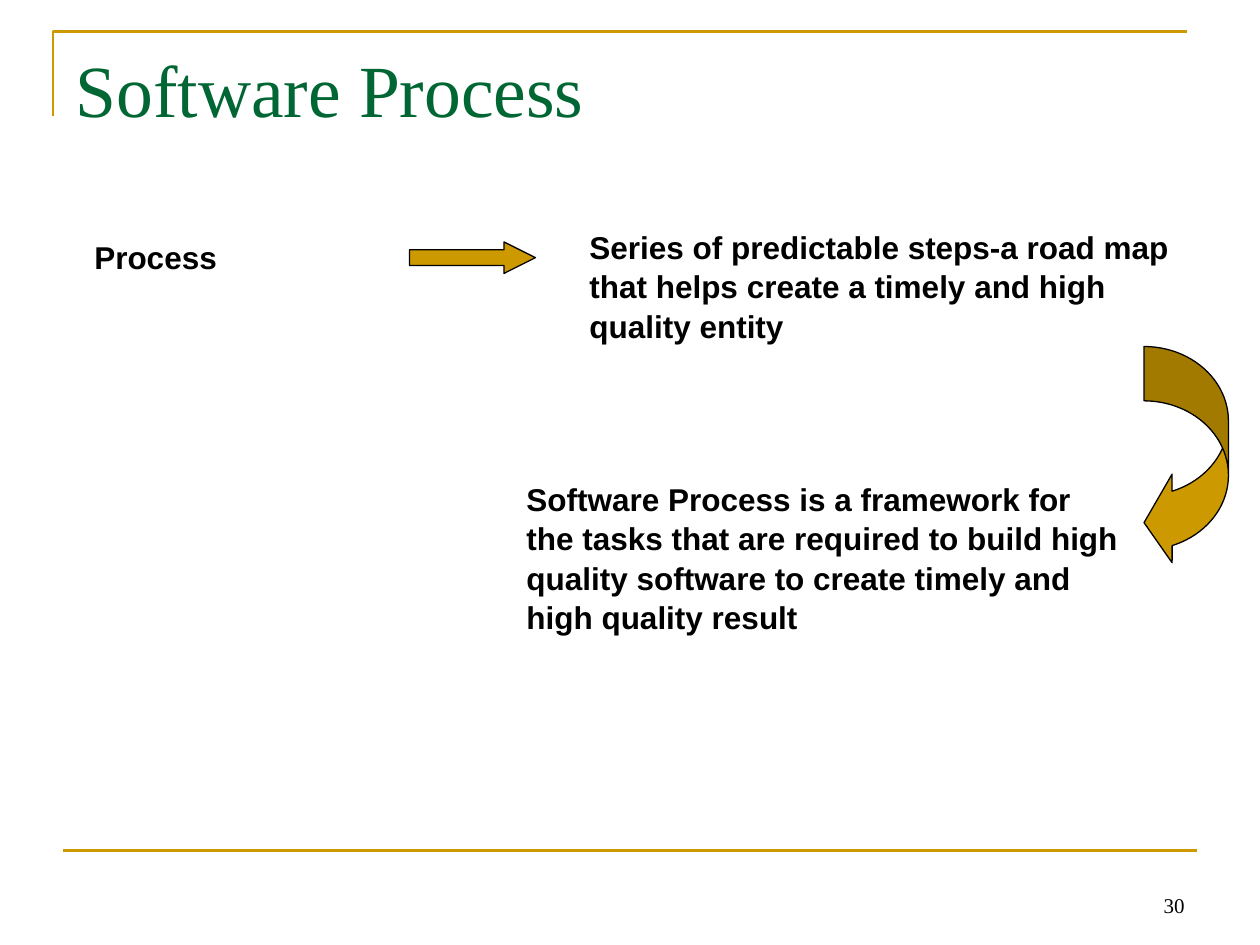
import pptx
import pptx.util
import pptx.dml.color
import pptx.enum.shapes
import pptx.enum.text
import pptx.oxml.ns
import lxml.etree

Inches, Pt = pptx.util.Inches, pptx.util.Pt
SHAPE = pptx.enum.shapes.MSO_SHAPE
ALIGN = pptx.enum.text.PP_ALIGN
ANCHOR = pptx.enum.text.MSO_ANCHOR
COLORS = {"gold": "CC9900", "green": "006633", "black": "000000"}
W, H = 10, 7.5
COL, ROW = W / 120, H / 90


def rgb(name):
    return pptx.dml.color.RGBColor.from_string(COLORS[name])


def grid(col, row, cols, rows):
    return [Inches(round(v, 2)) for v in (col * COL, row * ROW, cols * COL, rows * ROW)]


def set_line(s, color, width):
    s.line.color.rgb = rgb(color)
    s.line.width = Pt(width)


def set_text(s, text, font, size, color, bold=False, align=ALIGN.LEFT, anchor=ANCHOR.TOP):
    tf = s.text_frame
    tf.word_wrap = True
    tf.vertical_anchor = anchor
    tf.text = text
    p = tf.paragraphs[0]
    p.alignment = align
    p.font.name, p.font.size, p.font.bold = font, Pt(size), bold
    p.font.color.rgb = rgb(color)
    return p


def add_frame(sp, box):
    x, y, w, h = box
    fb = sp.build_freeform(x, y + h)
    fb.add_line_segments([(x, y), (x + w, y)], close=False)
    s = fb.convert_to_shape()
    s.shadow.inherit = False
    s.fill.background()
    set_line(s, "gold", 1.5)


def add_title(slide, box, text):
    s = slide.shapes.title
    s.left, s.top, s.width, s.height = box
    set_text(s, text, "Times New Roman", 42, "green")


def add_statement(sp, box, text, indent=0):
    p = set_text(sp.add_textbox(*box), text, "Arial", 18, "black", bold=True)
    p.line_spacing = 1.04
    if indent:
        p._p.get_or_add_pPr().set("marL", str(Inches(indent)))


def add_arrow(sp, box, kind, adjustments):
    s = sp.add_shape(kind, *box)
    s.shadow.inherit = False
    for i, value in enumerate(adjustments):
        s.adjustments[i] = value
    s.fill.solid()
    s.fill.fore_color.rgb = rgb("gold")
    set_line(s, "black", 0.75)


def add_footer(sp, box, number):
    x, y, w, h = box
    rule = sp.add_connector(pptx.enum.shapes.MSO_CONNECTOR.STRAIGHT, x, y, x + w, y)
    set_line(rule, "gold", 1.5)
    lxml.etree.SubElement(rule._element.spPr, pptx.oxml.ns.qn("a:effectLst"))
    left = x + w - Inches(2.33)
    s = sp.add_textbox(left, y + Inches(ROW), Inches(2.33), h - Inches(ROW))
    set_text(s, number, "Times New Roman", 12, "black", align=ALIGN.RIGHT, anchor=ANCHOR.BOTTOM)


def build_slide(prs):
    slide = prs.slides.add_slide(prs.slide_layouts[5])
    sp = slide.shapes
    add_frame(sp, grid(5, 3, 108, 8))
    add_footer(sp, grid(6, 81, 108, 7), "30")
    add_title(slide, grid(6, 3.6, 108, 15), "Software Process")
    add_statement(sp, grid(7, 22, 107, 6), "Process", indent=0.07)
    add_arrow(sp, grid(39, 23, 12, 3), SHAPE.RIGHT_ARROW, (0.5, 1))
    add_statement(
        sp, grid(55, 21, 58, 15.6),
        "Series of predictable steps-a road map that helps create a timely "
        "and high quality entity")
    add_arrow(sp, grid(109, 33, 8, 21), SHAPE.CURVED_LEFT_ARROW, (0.644, 1.05, 0.333))
    add_statement(
        sp, grid(49, 45, 59, 32),
        "Software Process is a framework for the tasks that are required to build "
        "high quality software to create timely and high quality result")


prs = pptx.Presentation()
prs.slide_width, prs.slide_height = Inches(W), Inches(H)
build_slide(prs)
prs.save("out.pptx")
